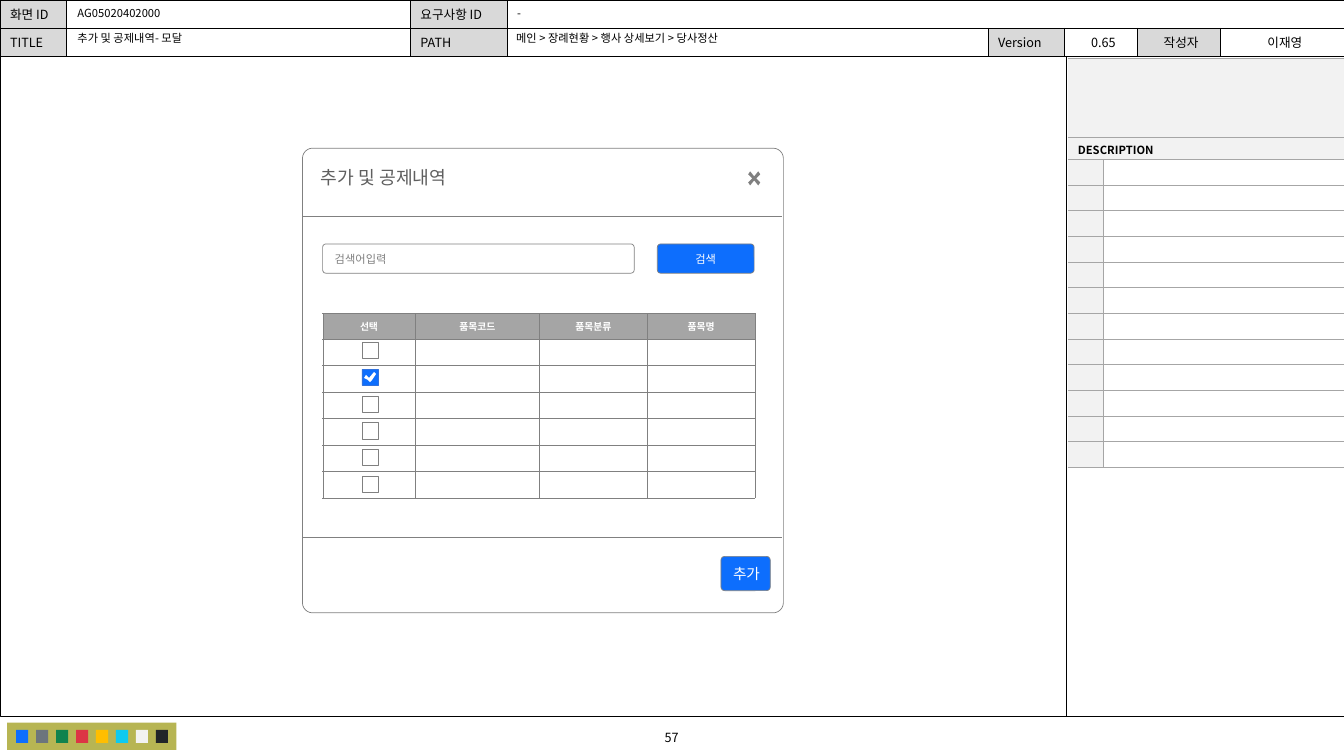
from lxml.etree import SubElement
from pptx import Presentation
from pptx.dml.color import RGBColor
from pptx.enum.shapes import MSO_CONNECTOR, MSO_SHAPE
from pptx.enum.text import MSO_ANCHOR, PP_ALIGN
from pptx.oxml import parse_xml
from pptx.oxml.ns import nsdecls, qn
from pptx.util import Inches, Pt

NOTO, ROBOTO = "Noto Sans CJK KR", "Roboto"
BLACK, WHITE, GRAY, BLUE = "000000", "FFFFFF", "808080", "0D6EFD"
LABEL, PANEL, RULE, HEAD = "D9D9D9", "F2F2F2", "A6A6A6", "A5A5A5"
LEFT, CENTER = PP_ALIGN.LEFT, PP_ALIGN.CENTER

HEADER_COLS = [0.66, 3.41, 0.96, 4.77, 0.76, 0.72, 0.82, 1.24]
HEADER = [
    ["화면 ID", "", "요구사항 ID", "", "", "", "", ""],
    ["TITLE", "", "PATH", "", "Version", "0.65", "작성자", "이재영"],
]
HEADER_LABELS = {(0, 0), (0, 2), (1, 0), (1, 2), (1, 4), (1, 6)}
HEADER_VALUES = [
    ("-", 5.03, 0.01, 8.29, 0.23),
    ("AG05020402000", 0.67, 0.01, 3.4, 0.23),
    ("추가 및 공제내역- 모달", 0.67, 0.28, 3.38, 0.2),
    ("메인 > 장례현황 > 행사 상세보기 > 당사정산", 5.02, 0.26, 4.74, 0.23),
]
PALETTE = [BLUE, "6C757D", "10834E", "DC3545", "FFBE00", "0DCAF0", "F2F2F2", "212529"]
DESCRIPTION_COLS = [0.35, 2.39]
DESCRIPTION_ROWS = [0.78, 0.22] + [0.255] * 12
ITEM_COLS = [0.92, 1.23, 1.07, 1.07]
ITEM_ROWS = [0.25] + [0.263] * 6
ITEM_HEADS = ["선택", "품목코드", "품목분류", "품목명"]
CHECKED_ROW = 1
CLOSE_MARK = [(7.44, 1.7), (7.42, 1.73), (7.46, 1.77), (7.42, 1.81), (7.44, 1.84), (7.48, 1.79),
              (7.52, 1.84), (7.54, 1.81), (7.5, 1.77), (7.54, 1.73), (7.52, 1.7), (7.48, 1.75)]
CHECK_MARK = [(3.71, 3.69), (3.66, 3.75), (3.63, 3.72), (3.61, 3.75), (3.65, 3.77),
              (3.67, 3.79), (3.69, 3.77), (3.73, 3.71)]

prs = Presentation()
prs.slide_width, prs.slide_height = Inches(13.33), Inches(7.5)
s = prs.slides.add_slide(prs.slide_layouts[6])


def rgb(color):
    return RGBColor.from_string(color)


def write(tf, text, size, font=NOTO, color=BLACK, align=LEFT, bold=False):
    p = tf.paragraphs[0]
    p.alignment = align
    r = p.add_run()
    r.text = text
    r.font.size, r.font.name, r.font.bold = Pt(size), font, bold
    r.font.color.rgb = rgb(color)
    SubElement(r.font._element, qn("a:ea")).set("typeface", font)


def frame(tf, margins, anchor=MSO_ANCHOR.MIDDLE, wrap=True):
    tf.margin_left, tf.margin_top, tf.margin_right, tf.margin_bottom = map(Inches, margins)
    tf.vertical_anchor, tf.word_wrap = anchor, wrap


def paint(sp, fill, line, width):
    sp.shadow.inherit = False
    if fill:
        sp.fill.solid()
        sp.fill.fore_color.rgb = rgb(fill)
    else:
        sp.fill.background()
    if line:
        sp.line.color.rgb, sp.line.width = rgb(line), Pt(width)
    else:
        sp.line.fill.background()


def box(x, y, w, h, fill=None, line=None, width=0.5, radius=None):
    kind = MSO_SHAPE.RECTANGLE if radius is None else MSO_SHAPE.ROUNDED_RECTANGLE
    sp = s.shapes.add_shape(kind, *map(Inches, (x, y, w, h)))
    if radius is not None:
        sp.adjustments[0] = radius
    paint(sp, fill, line, width)
    return sp


def mark(points, fill):
    dots = [(Inches(x), Inches(y)) for x, y in points]
    fb = s.shapes.build_freeform(*dots[0])
    fb.add_line_segments(dots[1:], close=True)
    paint(fb.convert_to_shape(), fill, None, 0)


def rule(x1, y1, x2, y2, color):
    c = s.shapes.add_connector(MSO_CONNECTOR.STRAIGHT, *map(Inches, (x1, y1, x2, y2)))
    c.line.color.rgb, c.line.width = rgb(color), Pt(0.5)
    SubElement(c._element.spPr, qn("a:effectLst"))


def label(text, x, y, w, h, size, align=LEFT):
    tf = s.shapes.add_textbox(*map(Inches, (x, y, w, h))).text_frame
    frame(tf, (0.1, 0, 0.1, 0))
    write(tf, text, size, align=align)


def grid(x, y, cols, rows):
    t = s.shapes.add_table(len(rows), len(cols), *map(Inches, (x, y, sum(cols), sum(rows)))).table
    t.first_row = t.horz_banding = False
    for col, w in zip(t.columns, cols):
        col.width = Inches(w)
    for row, h in zip(t.rows, rows):
        row.height = Inches(h)
    return t


def style(cell, fill, line, width, margins, sides="LRTB"):
    cell.margin_left, cell.margin_top, cell.margin_right, cell.margin_bottom = map(Inches, margins)
    cell.vertical_anchor = MSO_ANCHOR.MIDDLE
    if fill:
        cell.fill.solid()
        cell.fill.fore_color.rgb = rgb(fill)
    else:
        cell.fill.background()
    tcPr = cell._tc.get_or_add_tcPr()
    for i, side in enumerate("LRTB"):
        inner = f'<a:solidFill><a:srgbClr val="{line}"/></a:solidFill>' if side in sides else "<a:noFill/>"
        tcPr.insert(i, parse_xml(f'<a:ln{side} {nsdecls("a")} w="{int(Pt(width))}">{inner}</a:ln{side}>'))
    cell.text_frame.paragraphs[0]._p.get_or_add_endParaRPr().set("sz", "700")


t = grid(0, 0, HEADER_COLS, [0.28, 0.28])
for i, row in enumerate(HEADER):
    for j, text in enumerate(row):
        cell = t.cell(i, j)
        style(cell, LABEL if (i, j) in HEADER_LABELS else WHITE, BLACK, 0.5, (0.1, 0.02, 0.05, 0.02))
        if text:
            write(cell.text_frame, text, 9, align=CENTER if j > 4 else LEFT)
t.cell(0, 3).merge(t.cell(0, 7))

box(0, 0.56, 13.33, 6.55, line=BLACK, width=0.25)
label("57", 5.37, 7.19, 2.58, 0.25, 9, CENTER)
rule(10.58, 0.56, 10.58, 7.11, BLACK)
box(0.07, 7.17, 1.68, 0.27, "B7B553")
for i, color in enumerate(PALETTE):
    box(0.16 + i * 0.198, 7.24, 0.12, 0.13, color)
for text, *place in HEADER_VALUES:
    label(text, *place, 8)

sp = box(3, 1.47, 4.77, 4.61, WHITE, GRAY, radius=0.022)
frame(sp.text_frame, (0.15, 0.15, 0.1, 0.05), MSO_ANCHOR.TOP)
write(sp.text_frame, "추가 및 공제내역", 13, ROBOTO, "5F5F5F")
for y in (2.15, 5.33):
    rule(3, y, 7.76, y, GRAY)
mark(CLOSE_MARK, GRAY)

t = grid(10.59, 0.58, DESCRIPTION_COLS, DESCRIPTION_ROWS)
for i in range(len(DESCRIPTION_ROWS)):
    for j in range(2):
        sides = "TB" if i < 2 else ("RTB" if j == 0 else "LRTB")
        style(t.cell(i, j), PANEL if i < 2 or j == 0 else None, RULE, 0.5, (0.1, 0.04, 0.1, 0.01), sides)
for i in range(2):
    t.cell(i, 0).merge(t.cell(i, 1))
write(t.cell(1, 0).text_frame, "DESCRIPTION", 8, bold=True)

t = grid(3.2, 3.11, ITEM_COLS, ITEM_ROWS)
for i in range(len(ITEM_ROWS)):
    for j, text in enumerate(ITEM_HEADS):
        style(t.cell(i, j), None if i else HEAD, GRAY, 0.25, (0.05, 0.03, 0.05, 0.03))
        if i == 0:
            write(t.cell(i, j).text_frame, text, 7, color=WHITE, align=CENTER, bold=True)
for i in range(len(ITEM_ROWS) - 1):
    fill, line = (BLUE, "3272DD") if i == CHECKED_ROW else (WHITE, GRAY)
    box(3.59, 3.4 + i * 0.265, 0.16, 0.16, fill, line)
mark(CHECK_MARK, WHITE)

CONTROLS = [
    ("검색", 6.52, 2.42, 0.96, 0.29, BLUE, WHITE, 8, CENTER, True),
    ("추가", 7.15, 5.52, 0.49, 0.34, BLUE, WHITE, 10.5, LEFT, False),
    ("검색어입력", 3.2, 2.42, 3.09, 0.29, WHITE, GRAY, 8, LEFT, True),
]
for text, x, y, w, h, fill, color, size, align, wrap in CONTROLS:
    sp = box(x, y, w, h, fill, GRAY, radius=0.11)
    frame(sp.text_frame, (0.11, 0.07, 0.11, 0.07), wrap=wrap)
    write(sp.text_frame, text, size, ROBOTO, color, align)

prs.save("out.pptx")
